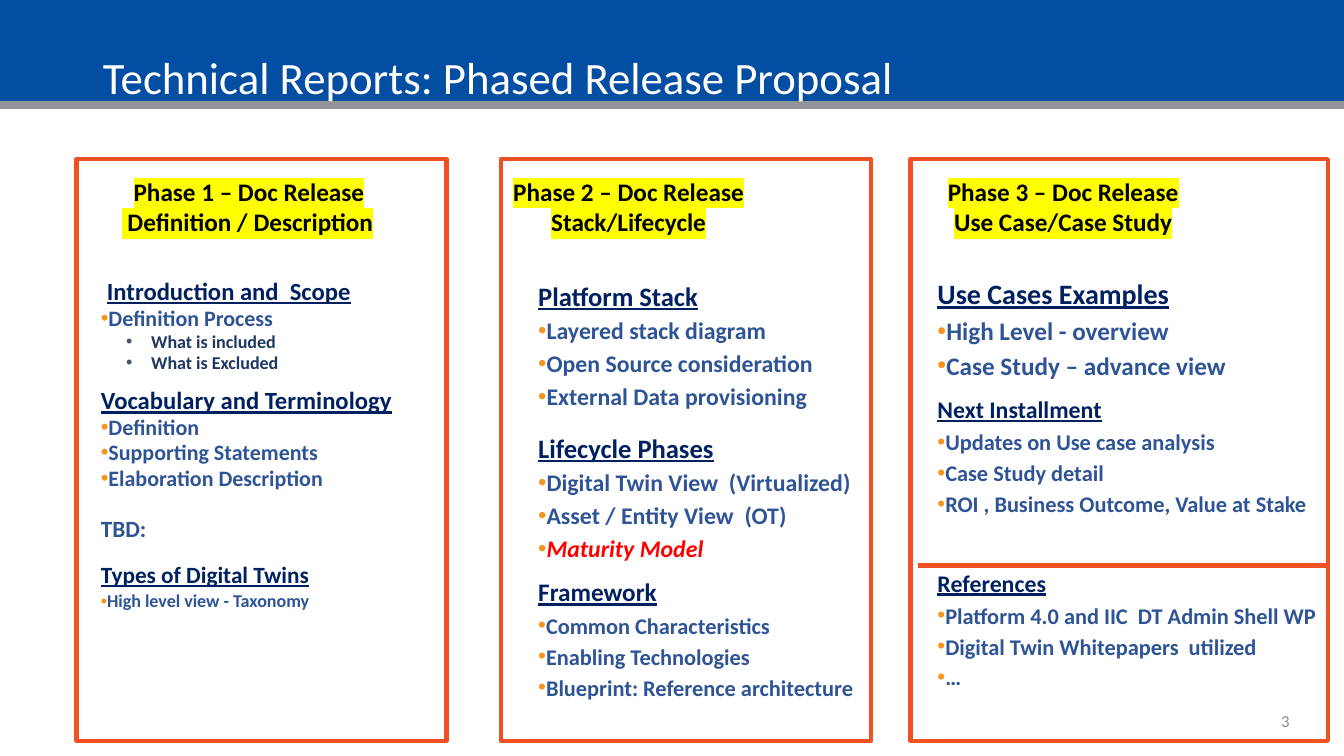
from dataclasses import dataclass

from lxml.etree import SubElement
from pptx import Presentation
from pptx.dml.color import RGBColor
from pptx.enum.shapes import MSO_CONNECTOR as Connector, MSO_SHAPE as Preset
from pptx.enum.text import MSO_ANCHOR as Anchor, MSO_AUTO_SIZE as AutoSize, PP_ALIGN as Align
from pptx.oxml.ns import qn
from pptx.util import Inches, Pt


@dataclass(frozen=True)
class Theme:
    font: str = "Calibri"
    band: str = "034EA2"
    rule: str = "939598"
    frame: str = "F05124"
    bullet: str = "F7941D"
    sub_bullet: str = "44546A"
    heading: str = "002060"
    item: str = "2F5496"
    sub_item: str = "1F3763"
    alert: str = "FF0000"
    black: str = "000000"
    white: str = "FFFFFF"
    marker: str = "FFFF00"
    number: str = "8C8C8C"
    title_size: float = 32
    phase_size: float = 18
    number_size: float = 12


THEME = Theme()


def rgb(value):
    return RGBColor.from_string(value)


def place(shape, left, top, width, height):
    shape.left, shape.top = Inches(left), Inches(top)
    shape.width, shape.height = Inches(width), Inches(height)


def set_bullet(para, color, left, first):
    props = para._p.get_or_add_pPr()
    props.set("marL", str(Inches(left)))
    props.set("indent", str(Inches(first)))
    if color is None:
        SubElement(props, qn("a:buNone"))
        return
    SubElement(SubElement(props, qn("a:buClr")), qn("a:srgbClr"), val=color)
    SubElement(props, qn("a:buFont"), typeface="Arial")
    SubElement(props, qn("a:buChar"), char="•")


def write(para, text, size, color, bold=False, italic=False, underline=False,
          highlight=None, align=Align.LEFT, spacing=1.0, before=0,
          bullet=None, left=0, first=0, level=0):
    set_bullet(para, bullet, left, first)
    para.level, para.alignment = level, align
    para.line_spacing, para.space_before = spacing, Pt(before)
    span = para.add_run()
    span.text = text
    font = span.font
    font.name, font.size = THEME.font, Pt(size)
    font.bold, font.italic, font.underline = bold, italic, underline
    font.color.rgb = rgb(color)
    if highlight:
        props = span._r.get_or_add_rPr()
        mark = SubElement(props, qn("a:highlight"))
        SubElement(mark, qn("a:srgbClr"), val=highlight)
        props.find(qn("a:solidFill")).addnext(mark)


def heading(text, size, spacing, **extra):
    return dict(text=text, size=size, color=THEME.heading, bold=True, underline=True,
                spacing=spacing, before=12) | extra


def item(text, size, spacing, **extra):
    return dict(text=text, size=size, color=THEME.item, bold=True, spacing=spacing,
                before=2, bullet=THEME.bullet, first=-0.25) | extra


def sub_item(text):
    return item(text, 12.9, 0.85, color=THEME.sub_item, bullet=THEME.sub_bullet,
                left=0.5, level=1)


def fill_text(shape, paras, anchor=Anchor.TOP, wrap=True, auto_size=AutoSize.NONE):
    frame = shape.text_frame
    frame.word_wrap, frame.auto_size, frame.vertical_anchor = wrap, auto_size, anchor
    for index, settings in enumerate(paras):
        para = frame.add_paragraph() if index else frame.paragraphs[0]
        write(para, **(settings if index else settings | {"before": 0}))


def add_text(page, area, paras, **options):
    box = page.shapes.add_textbox(*map(Inches, area))
    fill_text(box, paras, **options)


def add_box(page, area, fill=None, line=None):
    box = page.shapes.add_shape(Preset.RECTANGLE, *map(Inches, area))
    box.shadow.inherit = False
    if fill:
        box.fill.solid()
        box.fill.fore_color.rgb = rgb(fill)
    else:
        box.fill.background()
    if line:
        box.line.color.rgb = rgb(line)
        box.line.width = Pt(3)
    else:
        box.line.fill.background()


def add_rule(page, left, right, y, color, weight):
    rule = page.shapes.add_connector(Connector.STRAIGHT, *map(Inches, (left, y, right, y)))
    rule.line.color.rgb = rgb(color)
    rule.line.width = Pt(weight)
    SubElement(rule._element.spPr, qn("a:effectLst"))


def add_phase(page, area, first_line, second_line, second_align=Align.CENTER):
    style = dict(size=THEME.phase_size, color=THEME.black, bold=True, highlight=THEME.marker)
    add_text(page, area, [
        dict(text=first_line, align=Align.CENTER, **style),
        dict(text=second_line, align=second_align, **style),
    ], wrap=False, auto_size=AutoSize.SHAPE_TO_FIT_TEXT)


def definition_paras():
    return [
        heading("Introduction and  Scope", 17.6, 0.85, first=0.06),
        item("Definition Process", 15.7, 0.85),
        sub_item("What is included"),
        sub_item("What is Excluded"),
        heading("Vocabulary and Terminology", 17.6, 0.85),
        *[item(text, 15.7, 0.85) for text in
          ("Definition", "Supporting Statements", "Elaboration Description")],
        item("TBD:", 16.6, 0.85, before=20, bullet=None, first=0),
        heading("Types of Digital Twins", 16.6, 1.05),
        item("High level view - Taxonomy", 12.9, 0.95),
    ]


def stack_paras():
    return [
        heading("Platform Stack", 19, 1.15),
        *[item(text, 17, 1.05) for text in
          ("Layered stack diagram", "Open Source consideration", "External Data provisioning")],
        heading("Lifecycle Phases", 19, 1.15),
        item("Digital Twin View  (Virtualized)", 17, 1.05),
        item("Asset / Entity View  (OT)", 17, 1.05),
        item("Maturity Model", 17, 1.05, color=THEME.alert, italic=True),
        heading("Framework", 18, 0.95),
        *[item(text, 16, 1.05) for text in
          ("Common Characteristics", "Enabling Technologies", "Blueprint: Reference architecture")],
    ]


def use_case_paras():
    return [
        heading("Use Cases Examples", 20, 0.95),
        item("High Level - overview", 18, 1.05),
        item("Case Study – advance view", 18, 1.05),
        heading("Next Installment", 17, 0.95),
        *[item(text, 16, 1.05) for text in
          ("Updates on Use case analysis", "Case Study detail", "ROI , Business Outcome, Value at Stake")],
        heading("References", 17, 0.95, before=38),
        *[item(text, 16, 1.05) for text in
          ("Platform 4.0 and IIC  DT Admin Shell WP", "Digital Twin Whitepapers  utilized", "…")],
    ]


def main():
    deck = Presentation()
    deck.slide_width, deck.slide_height = Inches(13.33), Inches(7.5)
    page = deck.slides.add_slide(deck.slide_layouts[1])
    title, body = page.shapes.title, page.placeholders[1]

    add_box(page, (0, 0, 13.33, 1.02), fill=THEME.band)
    add_rule(page, 0, 13.33, 1.04, THEME.rule, 6)
    for left, width in ((0.76, 3.67), (4.97, 3.67), (9.03, 4.14)):
        add_box(page, (left, 1.58, width, 5.77), line=THEME.frame)
    add_rule(page, 9.1, 13.15, 5.61, THEME.frame, 3)

    for holder in (title, body):
        holder.element.getparent().append(holder.element)
    place(title, 0.92, 0.07, 11.92, 1.45)
    fill_text(title, [dict(text="Technical Reports: Phased Release Proposal",
                           size=THEME.title_size, color=THEME.white, spacing=0.9)],
              anchor=Anchor.MIDDLE)
    place(body, 0.9, 2.73, 3.5, 3.73)
    fill_text(body, definition_paras())
    add_text(page, (5.24, 2.68, 3.5, 4.59), stack_paras())
    add_text(page, (9.2, 2.72, 4.13, 4.61), use_case_paras())

    add_phase(page, (1.11, 1.7, 2.72, 0.71), "Phase 1 – Doc Release",
              " Definition / Description", Align.LEFT)
    add_phase(page, (4.98, 1.7, 2.51, 0.71), "Phase 2 – Doc Release", "Stack/Lifecycle")
    add_phase(page, (9.29, 1.7, 2.51, 0.71), "Phase 3 – Doc Release", "Use Case/Case Study")
    add_text(page, (12.43, 6.95, 0.64, 0.4),
             [dict(text="3", size=THEME.number_size, color=THEME.number, align=Align.CENTER)],
             anchor=Anchor.MIDDLE)
    deck.save("out.pptx")


if __name__ == "__main__":
    main()
